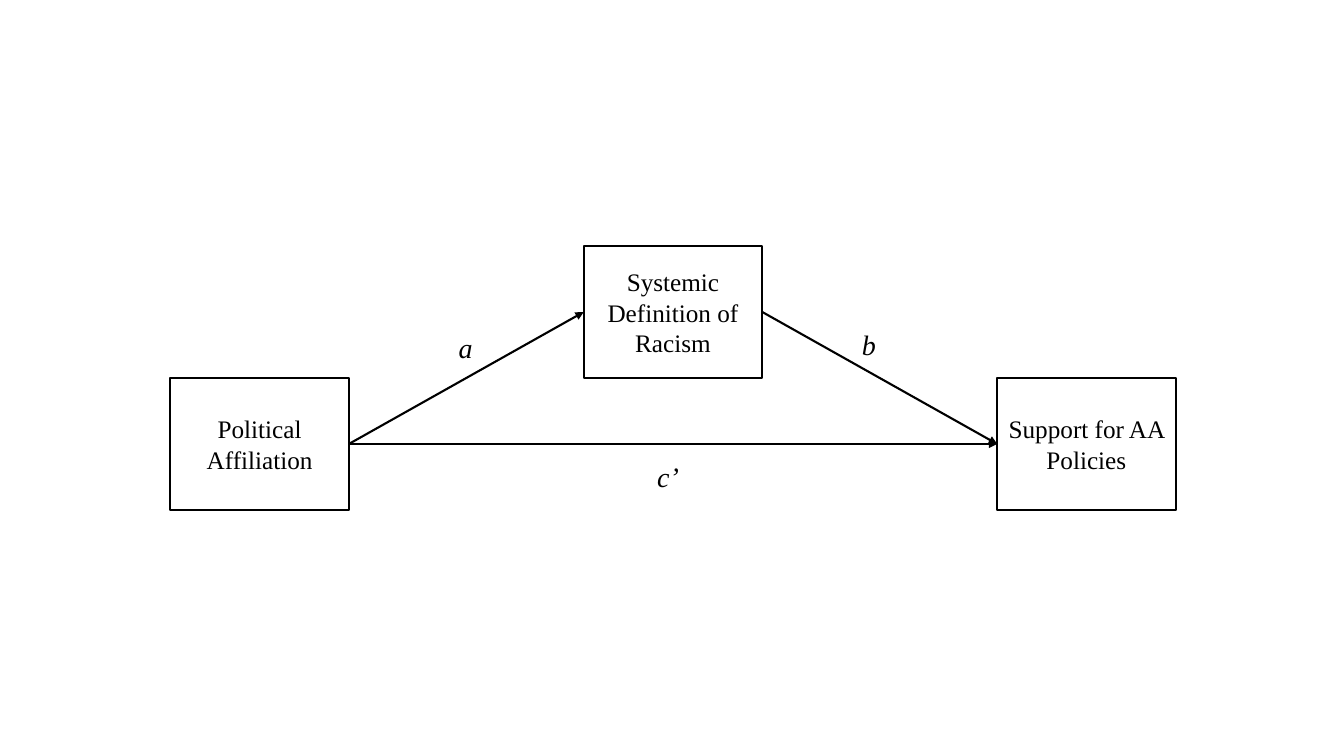
"""Build a mediation path diagram with three variables and three labelled paths."""
from lxml.etree import SubElement
from pptx import Presentation
from pptx.dml.color import RGBColor
from pptx.enum.shapes import MSO_CONNECTOR as Connector, MSO_SHAPE as Shape
from pptx.enum.text import MSO_ANCHOR as Anchor, PP_ALIGN as Align
from pptx.oxml.ns import qn
from pptx.util import Inches, Pt

VARIABLES = {
    "mediator": ("Systemic Definition of Racism", 1, 0),
    "outcome": ("Support for AA Policies", 2, 1),
    "predictor": ("Political Affiliation", 0, 1),
}
PATHS = [
    ("b", "mediator", "outcome", (8.45, 3.2), 0.34),
    ("a", "predictor", "mediator", (4.45, 3.23), 0.34),
    ("c’", "predictor", "outcome", (6.42, 4.51), 0.43),
]
THEME = {
    "font": "Times New Roman",
    "ink": RGBColor(0, 0, 0),
    "paper": RGBColor(255, 255, 255),
    "variable_size": 18,
    "path_size": 20,
    "stroke": Pt(1.5),
}
SLIDE_W, SLIDE_H = 13.33, 7.5
BOX_W, BOX_H = 1.77, 1.31
LEFT, TOP, COLUMN_STEP = 1.69, 2.44, 4.1
LABEL_H = 0.44
LEFT_SITE, RIGHT_SITE = 1, 3


def write(shape, text, size, italic=False, align=Align.LEFT, anchor=Anchor.TOP, wrap=True):
    frame = shape.text_frame
    frame.word_wrap = wrap
    frame.vertical_anchor = anchor
    paragraph = frame.paragraphs[0]
    paragraph.alignment = align
    run = paragraph.add_run()
    run.text = text
    run.font.name = THEME["font"]
    run.font.size = Pt(size)
    run.font.italic = italic
    run.font.color.rgb = THEME["ink"]


def outline(shape):
    shape.line.color.rgb = THEME["ink"]
    shape.line.width = THEME["stroke"]


def add_variable(slide, text, column, row):
    box = slide.shapes.add_shape(
        Shape.RECTANGLE,
        Inches(LEFT + column * COLUMN_STEP), Inches(TOP + row * BOX_H),
        Inches(BOX_W), Inches(BOX_H),
    )
    box.shadow.inherit = False
    box.fill.solid()
    box.fill.fore_color.rgb = THEME["paper"]
    outline(box)
    write(box, text, THEME["variable_size"], align=Align.CENTER, anchor=Anchor.MIDDLE)
    return box


def add_arrow(slide, cause, effect):
    arrow = slide.shapes.add_connector(Connector.STRAIGHT, 0, 0, 0, 0)
    arrow.begin_connect(cause, RIGHT_SITE)
    arrow.end_connect(effect, LEFT_SITE)
    outline(arrow)
    SubElement(arrow.line._get_or_add_ln(), qn("a:tailEnd"), type="triangle")
    SubElement(arrow._element.spPr, qn("a:effectLst"))


prs = Presentation()
prs.slide_width, prs.slide_height = Inches(SLIDE_W), Inches(SLIDE_H)
slide = prs.slides.add_slide(prs.slide_layouts[6])

boxes = {role: add_variable(slide, *variable) for role, variable in VARIABLES.items()}
for _, cause, effect, _, _ in PATHS:
    add_arrow(slide, boxes[cause], boxes[effect])
for label, _, _, (x, y), width in PATHS:
    tag = slide.shapes.add_textbox(Inches(x), Inches(y), Inches(width), Inches(LABEL_H))
    write(tag, label, THEME["path_size"], italic=True, wrap=False)

prs.save("out.pptx")
